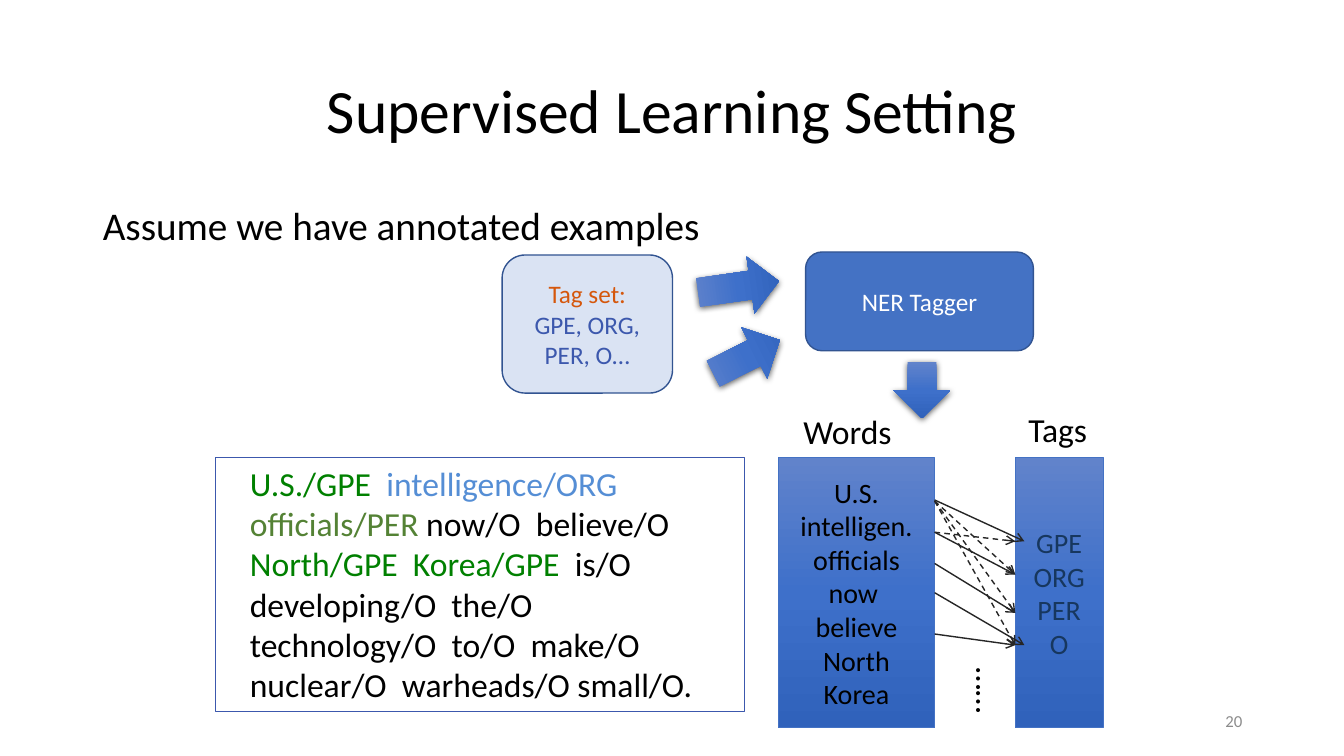
from copy import deepcopy
from lxml import etree
from pptx import Presentation
from pptx.dml.color import RGBColor
from pptx.enum import dml, shapes, text
from pptx.oxml import parse_xml
from pptx.oxml.ns import nsdecls, qn
from pptx.util import Inches, Pt

BLACK = RGBColor(0, 0, 0)
WHITE = RGBColor(0xFF, 0xFF, 0xFF)
GRAY = RGBColor(0x8C, 0x8C, 0x8C)
INK = RGBColor(0x26, 0x26, 0x26)
GREEN = RGBColor(0x00, 0x80, 0x00)
OLIVE = RGBColor(0x54, 0x82, 0x35)
SKY = RGBColor(0x55, 0x8E, 0xD5)
NAVY = RGBColor(0x17, 0x37, 0x5E)
INDIGO = RGBColor(0x3C, 0x58, 0xAD)
ORANGE = RGBColor(0xD5, 0x57, 0x0C)
PALE = RGBColor(0xDA, 0xE3, 0xF3)
BLUE = RGBColor(0x44, 0x72, 0xC4)
EDGE = RGBColor(0x32, 0x54, 0x91)
SHADES = [RGBColor(0x61, 0x83, 0xCB), RGBColor(0x3E, 0x70, 0xCA), RGBColor(0x30, 0x62, 0xBB)]
SHAPE = shapes.MSO_SHAPE
LEFT, MID, RIGHT = text.PP_ALIGN.LEFT, text.PP_ALIGN.CENTER, text.PP_ALIGN.RIGHT
TOP, HALF = text.MSO_ANCHOR.TOP, text.MSO_ANCHOR.MIDDLE


def write(item, paras, size, align=MID, anchor=HALF, wrap=True, **form):
    """Fill a shape with paragraphs, each a list of (words, colour) runs."""
    frame = item.text_frame
    frame.word_wrap, frame.vertical_anchor = wrap, anchor
    for i, runs in enumerate(paras):
        para = frame.add_paragraph() if i else frame.paragraphs[0]
        for key, value in {"alignment": align, **form}.items():
            setattr(para, key, value)
        for words, color in runs:
            run = para.add_run()
            run.text = words
            for key, value in {"name": "Calibri", "size": Pt(size)}.items():
                setattr(run.font, key, value)
            run.font.color.rgb = color


def draw(kind, box, fill=None, line=None, width=1):
    """Add a shape; a list of colours makes a downward gradient."""
    item = slide.shapes.add_shape(kind, *map(Inches, box))
    item.shadow.inherit = False
    if isinstance(fill, list):
        item.fill.gradient()
        item.fill.gradient_angle = 270
        first = item.fill.gradient_stops[0]._gs
        first.addnext(deepcopy(first))
        for i, (stop, color) in enumerate(zip(item.fill.gradient_stops, fill)):
            stop.position, stop.color.rgb = i / 2, color
    elif fill is not None:
        item.fill.solid()
        item.fill.fore_color.rgb = fill
    else:
        item.fill.background()
    if line is not None:
        item.line.color.rgb, item.line.width = line, Pt(width)
    else:
        item.line.fill.background()
    return item


deck = Presentation()
deck.slide_width, deck.slide_height = Inches(13.33), Inches(7.5)
slide = deck.slides.add_slide(deck.slide_layouts[1])

# Title and lead sentence
title, body = slide.placeholders
for item, box in ((title, (0.92, 0.4, 11.5, 1.45)), (body, (0.92, 2, 11.5, 4.76))):
    item.left, item.top, item.width, item.height = map(Inches, box)
write(title, [[("Supervised Learning Setting", BLACK)]], 44, line_spacing=0.9)
props = body.text_frame.paragraphs[0]._p.get_or_add_pPr()
props.set("marL", "0")
props.set("indent", "0")
etree.SubElement(props, qn("a:buNone"))
write(body, [[("Assume we have annotated examples", BLACK)]], 28, LEFT, TOP,
      line_spacing=0.9, space_before=Pt(0))

# Annotated sentence
sample = draw(SHAPE.RECTANGLE, (2.14, 4.54, 5.24, 2.52), None, INDIGO, 0.75)
props = sample.text_frame.paragraphs[0]._p.get_or_add_pPr()
props.set("marL", str(Inches(0.24)))
write(sample, [[
    ("U.S./GPE  ", GREEN), ("intelligence/ORG  ", SKY), ("officials/PER", OLIVE),
    (" now/O  believe/O  ", BLACK), ("North/GPE  Korea/GPE ", GREEN),
    (" is/O  developing/O  the/O  technology/O  to/O  make/O  nuclear/O  warheads/O small/O.",
     BLACK)]], 24, LEFT, TOP)

# Tag set and tagger
tagset = draw(SHAPE.ROUNDED_RECTANGLE, (4.98, 2.53, 1.69, 1.37), PALE, EDGE)
write(tagset, [[("Tag set:", ORANGE)], [("GPE, ORG, PER, O…", INDIGO)]], 18)
tagger = draw(SHAPE.FLOWCHART_ALTERNATE_PROCESS, (7.99, 2.5, 2.26, 0.98), BLUE, EDGE)
write(tagger, [[("NER Tagger", WHITE)]], 18)

# Block arrows with shadow
for left, top, height, turn in ((7.04, 2.44, 0.81, 262), (7.12, 3.17, 0.74, 243.2),
                                (8.86, 3.59, 0.56, 0)):
    arrow = draw(SHAPE.DOWN_ARROW, (left, top, 0.57, height), SHADES)
    arrow.rotation = turn
    glow = arrow._element.spPr.find(qn("a:effectLst"))
    glow.append(parse_xml(
        f'<a:outerShdw {nsdecls("a")} blurRad="{Pt(4.5)}" dist="{Pt(1.5)}" dir="5400000" '
        'rotWithShape="0"><a:srgbClr val="000000"><a:alpha val="63000"/></a:srgbClr>'
        '</a:outerShdw>'))

# Word and tag columns
words = ["U.S.", "intelligen.", "officials", "now ", "believe", "North", "Korea"]
tags = ["GPE", "ORG", "PER", "O"]
for left, width, names, color in ((7.72, 1.55, words, BLACK), (10.07, 0.87, tags, NAVY)):
    column = draw(SHAPE.RECTANGLE, (left, 4.54, width, 2.68), SHADES, BLUE, 0.5)
    write(column, [[(name, color)] for name in names], 20)

# Links from words to tags: start height, end point, dashed
links = [(4.96, 10.16, 5.37, False), (4.97, 10.07, 5.7, True), (4.97, 10.07, 6.4, True),
         (4.97, 10.07, 6.08, True), (5.28, 10.07, 5.37, True), (5.28, 10.07, 5.7, False),
         (5.88, 10.16, 6.4, False), (5.59, 10.07, 6.08, False), (6.29, 10.07, 6.4, False)]
for start, right, end, dashed in links:
    link = slide.shapes.add_connector(shapes.MSO_CONNECTOR.STRAIGHT,
                                      *map(Inches, (9.27, start, right, end)))
    link.line.color.rgb, link.line.width = INK, Pt(1)
    if dashed:
        link.line.dash_style = dml.MSO_LINE.DASH
    etree.SubElement(link.line._ln, qn("a:tailEnd"), type="arrow")
    etree.SubElement(link._element.spPr, qn("a:effectLst"))

# Column labels, dots and page number
labels = [("……", (9.48, 6.61, 0.67, 0.5), 90), ("Words", (7.87, 4.03, 1.1, 0.5), 0),
          ("Tags", (10.1, 4.01, 0.82, 0.5), 0)]
for words, box, turn in labels:
    label = slide.shapes.add_textbox(*map(Inches, box))
    label.rotation = turn
    write(label, [[(words, BLACK)]], 24, LEFT, TOP, wrap=False)
number = slide.shapes.add_textbox(*map(Inches, (9.42, 6.95, 3, 0.4)))
write(number, [[("20", GRAY)]], 12, RIGHT)

deck.save("out.pptx")
